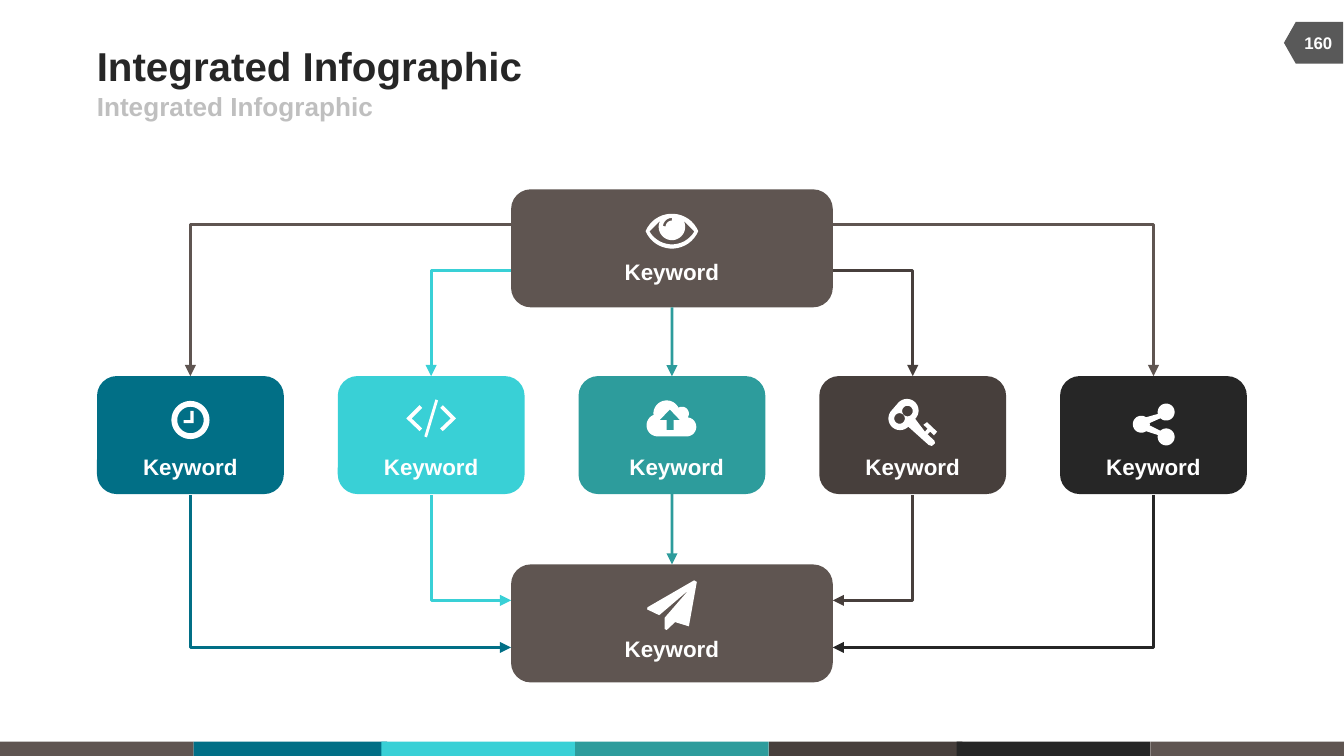
"""Build the integrated infographic slide: two hubs linked to five keyword cards."""
import math

import pptx
import pptx.dml.color
import pptx.enum.shapes
import pptx.enum.text
import pptx.oxml.ns
import pptx.util
from lxml import etree

Cm = pptx.util.Cm
RGBColor = pptx.dml.color.RGBColor
SHAPE = pptx.enum.shapes.MSO_SHAPE
CONNECTOR = pptx.enum.shapes.MSO_CONNECTOR
ALIGN = pptx.enum.text.PP_ALIGN
ANCHOR = pptx.enum.text.MSO_ANCHOR
qn = pptx.oxml.ns.qn

TAUPE = RGBColor(0x5F, 0x55, 0x51)
BLUE = RGBColor(0x01, 0x6F, 0x86)
CYAN = RGBColor(0x39, 0xD0, 0xD6)
TEAL = RGBColor(0x2D, 0x9C, 0x9C)
BROWN = RGBColor(0x47, 0x3F, 0x3C)
BLACK = RGBColor(0x26, 0x26, 0x26)
GRAY = RGBColor(0x59, 0x59, 0x59)
SILVER = RGBColor(0xBF, 0xBF, 0xBF)
WHITE = RGBColor(0xFF, 0xFF, 0xFF)


def arc(x, y, radius, start=0, end=360):
    """Return points along an arc, with angles in degrees running clockwise."""
    steps = max(4, round(abs(end - start) / 8))
    angles = [math.radians(start + (end - start) * i / steps) for i in range(steps + 1)]
    return [(x + radius * math.cos(a), y + radius * math.sin(a)) for a in angles]


CHEVRON = [(-22, 24), (-47, 0), (-22, -25), (-17, -20), (-37, 0), (-17, 19)]
ICONS = {
    "clock": [arc(0, 0, 36), arc(0, 0, 25),
              [(-13, 0), (0, 0), (0, -17), (6, -17), (6, 6), (-13, 6)]],
    "code": [CHEVRON, [(-x, y) for x, y in CHEVRON],
             [(-8, 36), (-13, 34), (8, -36), (13, -34)]],
    "cloud": [arc(-27, 13, 21, 90, 250) + arc(-10, -9, 25, 180, 335)
              + arc(19, -9, 13, 240, 390) + arc(28, 16, 18, 275, 450),
              [(-4, -17), (15, 3), (3, 3), (3, 22), (-10, 22), (-10, 3), (-23, 3)]],
    "key": [arc(-24, -8, 22, 45, 225) + arc(-11, -23, 22, 225, 405)
            + [(23, 17), (28, 11), (20, 4), (27, -1), (46, 17), (40, 24), (33, 17),
               (28, 22), (41, 34), (42, 39), (36, 44), (30, 42)],
            arc(-10, -22, 10), arc(-25, -8, 10)],
    "share": [arc(-23, -1, 16, 55, 305) + arc(24, -24, 16, 167, 493)
              + arc(-23, -1, 16, -8, 8) + arc(24, 23, 16, 227, 553)],
    "eye": [arc(0, 21, 54, 203, 337) + arc(0, -21, 54, 23, 157),
            arc(0, -24, 49, 30, 150) + arc(0, -8, 25, 208, -28),
            arc(0, -8, 17, 185, 270) + arc(0, -8, 12, 270, 185)],
    "plane": [[(47, -44), (32, 40), (6, 32), (-10, 47), (-14, 45), (-14, 24),
               (32, -29), (-24, 19), (-47, 8), (-46, 4), (42, -47)]],
}

MIDDLE, CARD_STEP = 12.7, 4.55
BOX_HEIGHT, CARD_WIDTH, HUB_WIDTH = 2.23, 3.53, 6.08
CARD_TOP, CARD_BOTTOM = 7.11, 9.35
CARDS = [
    (BLUE, "clock", 7.94, 0),
    (CYAN, "code", 7.91, 0),
    (TEAL, "cloud", 7.91, 0.09),
    (BROWN, "key", 7.99, 0),
    (BLACK, "share", 8.03, 0),
]
HUBS = [(3.58, "eye", 4.37, 4.88), (10.67, "plane", 11.44, 12.01)]
CARD_LABEL_TOP = 8.56
BENT_LINKS = [
    (0, TAUPE, 4.24, BLUE, 12.24),
    (1, CYAN, 5.11, CYAN, 11.35),
    (3, BROWN, 5.11, BROWN, 11.35),
    (4, TAUPE, 4.24, BLACK, 12.24),
]
FOOTER = [(0, TAUPE), (3.66, BLUE), (7.21, CYAN), (10.87, TEAL),
          (14.53, BROWN), (18.08, BLACK), (21.74, TAUPE)]
TEXTS = [
    ("Integrated Infographic", 1.83, 0.74, 15.67, 0.99, 21.6, BLACK, ALIGN.LEFT),
    ("Integrated Infographic", 1.83, 1.73, 11.43, 0.56, 14, SILVER, ALIGN.LEFT),
    ("160", 24.38, 0.43, 1.07, 0.76, 9, WHITE, ALIGN.CENTER),
]


def add_block(page, kind, left, top, width, height, color):
    block = page.shapes.add_shape(kind, Cm(left), Cm(top), Cm(width), Cm(height))
    block.shadow.inherit = False
    block.fill.solid()
    block.fill.fore_color.rgb = color
    block.line.fill.background()
    return block


def add_text(page, text, left, top, width, height, size, color, align):
    frame = page.shapes.add_textbox(Cm(left), Cm(top), Cm(width), Cm(height)).text_frame
    frame.margin_left = frame.margin_right = frame.margin_top = frame.margin_bottom = 0
    frame.word_wrap = False
    frame.vertical_anchor = ANCHOR.MIDDLE
    para = frame.paragraphs[0]
    para.text = text
    para.alignment = align
    para.font.name = "Arial"
    para.font.size = pptx.util.Pt(size)
    para.font.bold = True
    para.font.color.rgb = color


def add_icon(page, name, x, y):
    outlines = [[(Cm(x + dx / 100), Cm(y + dy / 100)) for dx, dy in outline]
                for outline in ICONS[name]]
    builder = page.shapes.build_freeform(*outlines[0][0])
    for number, outline in enumerate(outlines):
        if number:
            builder.move_to(*outline[0])
        builder.add_line_segments(outline[1:], close=True)
    icon = builder.convert_to_shape()
    icon.shadow.inherit = False
    icon.fill.solid()
    icon.fill.fore_color.rgb = WHITE
    icon.line.fill.background()


def add_link(page, kind, start, end, color, arrow):
    link = page.shapes.add_connector(kind, *(Cm(value) for value in start + end))
    link.line.color.rgb = color
    link.line.width = pptx.util.Pt(1.5)
    properties = link._element.spPr
    etree.SubElement(properties.find(qn("a:ln")), qn(arrow), type="triangle")
    etree.SubElement(properties, qn("a:effectLst"))
    if kind == CONNECTOR.ELBOW:
        properties.find(qn("a:prstGeom")).set("prst", "bentConnector2")
    return link


def add_box(page, x, top, width, color, icon, icon_y, label_x, label_top):
    box = add_block(page, SHAPE.ROUNDED_RECTANGLE, x - width / 2, top, width, BOX_HEIGHT, color)
    add_text(page, "Keyword", label_x - 0.9, label_top, 1.8, 0.51, 12, WHITE, ALIGN.CENTER)
    add_icon(page, icon, x, icon_y)
    return box


def main():
    deck = pptx.Presentation()
    deck.slide_width, deck.slide_height = Cm(25.4), Cm(14.29)
    page = deck.slides.add_slide(deck.slide_layouts[6])

    for left, color in FOOTER:
        add_block(page, SHAPE.RECTANGLE, left, 14.02, 3.66, 0.27, color)
    tag = add_block(page, SHAPE.FLOWCHART_OFFPAGE_CONNECTOR, 24.43, 0.25, 0.79, 1.12, GRAY)
    tag.rotation = 90
    for text in TEXTS:
        add_text(page, *text)

    centers = [MIDDLE + (i - 2) * CARD_STEP for i in range(len(CARDS))]
    for index, upper_color, upper_y, lower_color, lower_y in BENT_LINKS:
        x = centers[index]
        side = MIDDLE + math.copysign(HUB_WIDTH / 2, x - MIDDLE)
        add_link(page, CONNECTOR.ELBOW, (side, upper_y), (x, CARD_TOP), upper_color, "a:tailEnd")
        add_link(page, CONNECTOR.ELBOW, (side, lower_y), (x, CARD_BOTTOM), lower_color, "a:headEnd")

    cards = [add_box(page, x, CARD_TOP, CARD_WIDTH, color, icon, icon_y, x + shift, CARD_LABEL_TOP)
             for x, (color, icon, icon_y, shift) in zip(centers, CARDS)]
    top_hub, bottom_hub = [
        add_box(page, MIDDLE, top, HUB_WIDTH, TAUPE, icon, icon_y, MIDDLE, label_top)
        for top, icon, icon_y, label_top in HUBS]
    for upper, lower in [(top_hub, cards[2]), (cards[2], bottom_hub)]:
        link = add_link(page, CONNECTOR.STRAIGHT, (MIDDLE, 0), (MIDDLE, 1), TEAL, "a:tailEnd")
        link.begin_connect(upper, 2)
        link.end_connect(lower, 0)

    deck.save("out.pptx")


if __name__ == "__main__":
    main()
